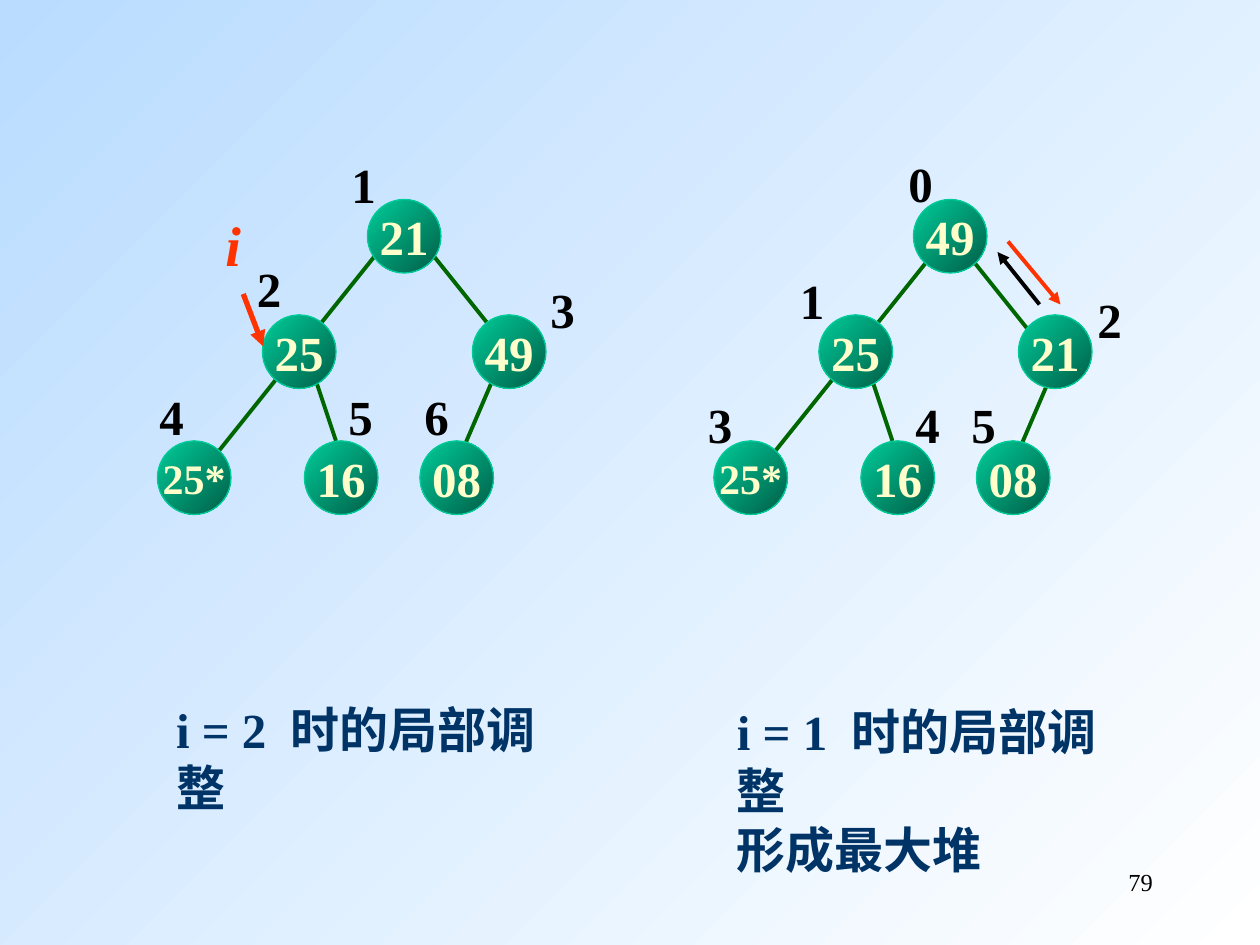
from pptx import Presentation
from pptx.dml.color import RGBColor
from pptx.enum.shapes import MSO_CONNECTOR, MSO_SHAPE
from pptx.enum.text import MSO_ANCHOR, MSO_AUTO_SIZE, PP_ALIGN
from pptx.oxml.ns import qn
from pptx.util import Pt
from lxml import etree

FONT = "Times New Roman"
BLACK = RGBColor(0x00, 0x00, 0x00)
WHITE = RGBColor(0xFF, 0xFF, 0xFF)
SKY = RGBColor(0xB9, 0xDC, 0xFF)
GREEN = RGBColor(0x00, 0xCC, 0x99)
DEEP_GREEN = RGBColor(0x00, 0x5E, 0x47)
EDGE = RGBColor(0x00, 0x66, 0x00)
CREAM = RGBColor(0xFF, 0xFF, 0xCC)
RED = RGBColor(0xFF, 0x33, 0x00)
NAVY = RGBColor(0x00, 0x33, 0x66)

NODE = 42  # node diameter
ROOT_Y, MID_Y, LEAF_Y = 114, 180, 252

prs = Presentation()
prs.slide_width, prs.slide_height = Pt(720), Pt(540)
s = prs.slides.add_slide(prs.slide_layouts[6])


def add_text(x, y, w, h, lines, size=28, color=BLACK, bold=True):
    """Add an unwrapped text box; each line is a list of runs."""
    sp = s.shapes.add_textbox(Pt(x), Pt(y), Pt(w), Pt(h))
    tf = sp.text_frame
    tf.word_wrap = False
    tf.auto_size = MSO_AUTO_SIZE.SHAPE_TO_FIT_TEXT
    for i, runs in enumerate(lines):
        p = tf.paragraphs[0] if i == 0 else tf.add_paragraph()
        for text in runs:
            p.add_run().text = text
        p.font.name, p.font.size, p.font.bold = FONT, Pt(size), bold
        p.font.color.rgb = color
    return tf


def add_line(x1, y1, x2, y2, color=EDGE, width=2.25, arrow=False):
    c = s.shapes.add_connector(MSO_CONNECTOR.STRAIGHT, Pt(x1), Pt(y1), Pt(x2), Pt(y2))
    c.line.color.rgb, c.line.width = color, Pt(width)
    if arrow:
        etree.SubElement(c.line._get_or_add_ln(), qn("a:tailEnd"), type="triangle")
    etree.SubElement(c._element.spPr, qn("a:effectLst"))


# Background, and the fill shared by all nodes
gradients = [(s.background.fill, SKY, WHITE)]

# Page number
tf = add_text(516, 492, 150, 36, [["79"]], size=14, bold=False)
tf.word_wrap, tf.auto_size = True, MSO_AUTO_SIZE.NONE
tf.paragraphs[0].alignment = PP_ALIGN.RIGHT

# Trees: edges, then nodes as (value, left, top, index, index left, index top)
trees = [
    (
        [(282, 216, 264, 258), (180, 216, 192, 252),
         (246, 144, 294, 204), (216, 144, 120, 264)],
        [("21", 210, ROOT_Y, "1", 193.7, 85),
         ("25", 150, MID_Y, "2", 139.7, 144),
         ("49", 270, MID_Y, "3", 307.5, 156),
         ("25*", 90, LEAF_Y, "4", 84, 217.5),
         ("16", 174, LEAF_Y, "5", 192, 217.5),
         ("08", 240, LEAF_Y, "6", 235.5, 217.5)],
    ),
    (
        [(600, 216, 582, 258), (498, 216, 510, 252),
         (552, 144, 600, 204), (534, 144, 438, 264)],
        [("49", 522, ROOT_Y, "0", 512, 84),
         ("25", 468, MID_Y, "1", 450, 151),
         ("21", 582, MID_Y, "2", 620, 162),
         ("25*", 408, LEAF_Y, "3", 397.5, 222),
         ("16", 492, LEAF_Y, "4", 516, 222),
         ("08", 558, LEAF_Y, "5", 548, 222)],
    ),
]
for edges, nodes in trees:
    for edge in edges:
        add_line(*edge)
    for value, x, y, index, index_x, index_y in nodes:
        sp = s.shapes.add_shape(MSO_SHAPE.OVAL, Pt(x), Pt(y), Pt(NODE), Pt(NODE))
        sp.shadow.inherit = False
        sp.line.color.rgb, sp.line.width = GREEN, Pt(0.75)
        gradients.append((sp.fill, GREEN, DEEP_GREEN))
        tf = sp.text_frame
        tf.word_wrap, tf.vertical_anchor = False, MSO_ANCHOR.MIDDLE
        p = tf.paragraphs[0]
        p.text, p.alignment = value, PP_ALIGN.CENTER
        p.font.name, p.font.bold = FONT, True
        p.font.size = Pt(24 if len(value) > 2 else 28)
        p.font.color.rgb = CREAM
        add_text(index_x, index_y, 28, 41, [[index]])

# Diagonal gradients
for fill, start, end in gradients:
    fill.gradient()
    fill.gradient_angle = 315
    for stop, color in zip(fill.gradient_stops, (start, end)):
        stop.color.rgb = color

# Pointer i and the swap arrows
tf = add_text(121.7, 116.5, 23, 46, [["i"]], size=32, color=RED)
tf.paragraphs[0].font.italic = True
add_line(139, 168, 150.5, 198, RED, 3, arrow=True)
add_line(594, 174, 570, 144, BLACK, arrow=True)
add_line(576, 138, 606, 174, RED, arrow=True)

# Captions, with a widened space before the Chinese words
for x, y, h, step, extra in [(414, 397.5, 75, "i = 1", [["形成最大堆"]]),
                             (93.5, 396, 41, "i = 2", [])]:
    tf = add_text(x, y, 247.5, h, [[step, " ", "时的局部调整"]] + extra, color=NAVY)
    space = tf.paragraphs[0].runs[1]
    space.font._element.set("spc", "700")

prs.save("out.pptx")
